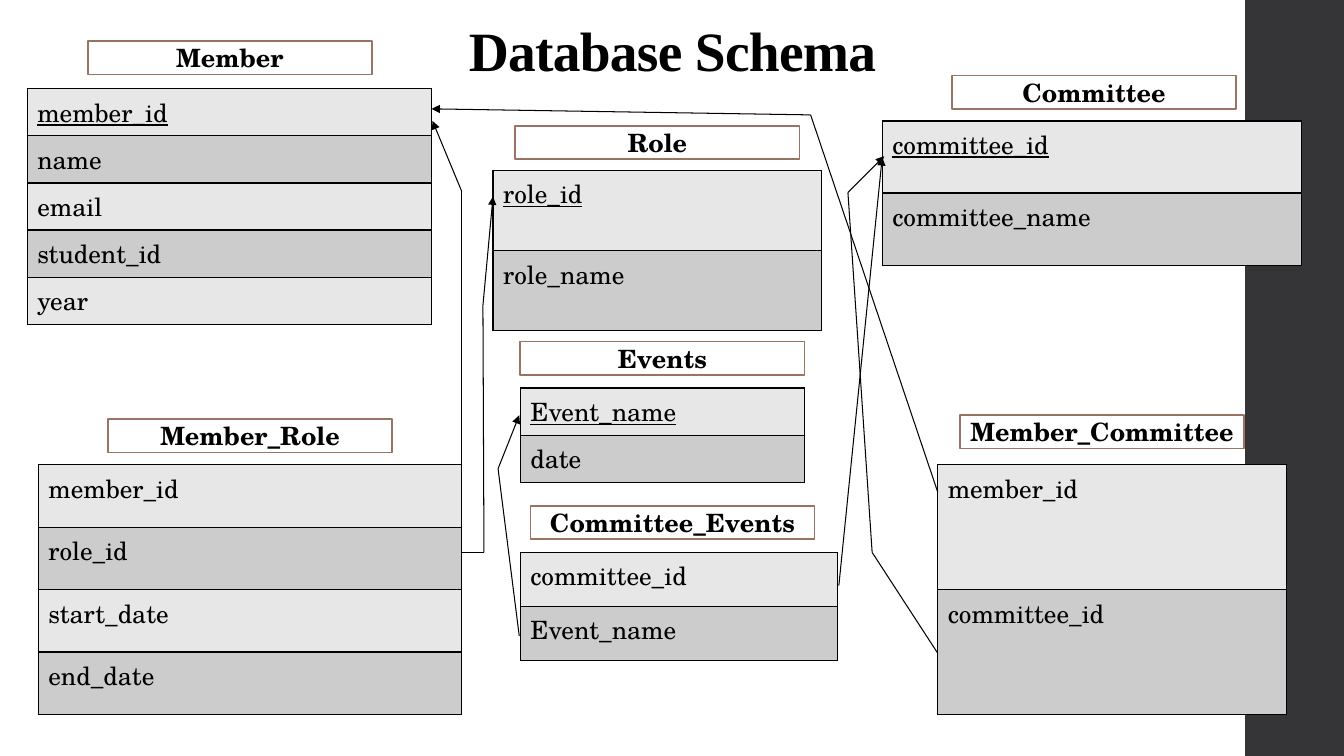
from dataclasses import dataclass
from itertools import pairwise

from lxml.etree import SubElement
from pptx import Presentation
from pptx.dml.color import RGBColor
from pptx.enum.shapes import MSO_CONNECTOR as CONNECTOR, MSO_SHAPE as SHAPE
from pptx.enum.text import MSO_ANCHOR as ANCHOR, PP_ALIGN as ALIGN
from pptx.oxml.ns import qn
from pptx.util import Pt

PX = 9144  # EMU per px, 100 px to the inch


@dataclass(frozen=True)
class Theme:
    ink: str = "000000"
    paper: str = "FFFFFF"
    sidebar: str = "353537"
    label_line: str = "9B7362"
    row_fills: tuple = ("E7E7E7", "CCCCCC")
    title_font: str = "Times New Roman"
    body_font: str = "TeX Gyre Schola"
    title_size: float = 39.6
    body_size: float = 18
    label_width: float = 1.1
    border_width: float = 1
    relation_width: float = 0.75


THEME = Theme()
LABEL_SIZE = (282, 33)

# name, label corner, table box, fields, whether the first field is a key
ENTITIES = [
    ("Member", (87, 41), (27, 88, 401, 233),
     ["member_id", "name", "email", "student_id", "year"], True),
    ("Role", (511, 125), (489, 169, 326, 159), ["role_id", "role_name"], True),
    ("Committee", (944, 75), (875, 120, 416, 143),
     ["committee_id", "committee_name"], True),
    ("Member_Role", (107, 416), (38, 461, 420, 248),
     ["member_id", "role_id", "start_date", "end_date"], False),
    ("Member_Committee", (952, 412), (930, 461, 346, 248),
     ["member_id", "committee_id"], False),
    ("Events", (516, 339), (516, 385, 282, 80), ["Event_name", "date"], True),
    ("Committee_Events", (526, 502), (516, 548, 315, 107),
     ["committee_id", "Event_name"], False),
]

# Each route runs from the foreign key to the key it refers to
RELATIONS = [
    [(458, 491), (458, 190), (429, 120)],
    [(458, 548), (480, 548), (479, 303), (489, 195)],
    [(930, 488), (804, 114), (428, 108)],
    [(930, 648), (865, 548), (841, 191), (877, 155)],
    [(832, 581), (875, 156)],
    [(515, 631), (494, 465), (515, 412)],
]


def px(*lengths):
    return [length * PX for length in lengths]


def rgb(value):
    return RGBColor.from_string(value)


def set_font(paragraph, name, size, bold=False, underline=False):
    font = paragraph.font
    font.name, font.size = name, Pt(size)
    font.bold, font.underline = bold, underline
    font.color.rgb = rgb(THEME.ink)


def add_box(slide, box, fill, line=None):
    rect = slide.shapes.add_shape(SHAPE.RECTANGLE, *px(*box))
    rect.shadow.inherit = False
    rect.fill.solid()
    rect.fill.fore_color.rgb = rgb(fill)
    if line:
        rect.line.color.rgb = rgb(line)
        rect.line.width = Pt(THEME.label_width)
    else:
        rect.line.fill.background()
    return rect


def add_title(slide, box, text):
    title = slide.shapes.title
    title.left, title.top, title.width, title.height = px(*box)
    frame = title.text_frame
    frame.text = text
    frame.word_wrap = True
    frame.vertical_anchor = ANCHOR.BOTTOM
    heading = frame.paragraphs[0]
    heading.alignment = ALIGN.CENTER
    heading.line_spacing = 0.9
    set_font(heading, THEME.title_font, THEME.title_size, bold=True)
    # Letter spacing, in hundredths of a point
    heading._p.get_or_add_pPr().get_or_add_defRPr().set("spc", "-50")


def add_label(slide, box, name):
    frame = add_box(slide, box, THEME.paper, THEME.label_line).text_frame
    frame.text = name
    frame.word_wrap = False
    frame.vertical_anchor = ANCHOR.MIDDLE
    frame.paragraphs[0].alignment = ALIGN.CENTER
    set_font(frame.paragraphs[0], THEME.body_font, THEME.body_size, bold=True)


def add_borders(cell):
    properties = cell._tc.get_or_add_tcPr()
    for side in ("lnL", "lnR", "lnT", "lnB"):
        border = SubElement(properties, qn(f"a:{side}"), w=str(Pt(THEME.border_width)))
        fill = SubElement(border, qn("a:solidFill"))
        SubElement(fill, qn("a:srgbClr"), val=THEME.ink)


def add_fields(slide, box, fields, has_key):
    table = slide.shapes.add_table(len(fields), 1, *px(*box)).table
    table.first_row = table.horz_banding = False
    for index, field in enumerate(fields):
        cell = table.cell(index, 0)
        cell.text = field
        set_font(cell.text_frame.paragraphs[0], THEME.body_font, THEME.body_size,
                 underline=has_key and index == 0)
        add_borders(cell)
        cell.fill.solid()
        cell.fill.fore_color.rgb = rgb(THEME.row_fills[index % 2])


def add_entity(slide, name, label_corner, table_box, fields, has_key):
    add_fields(slide, table_box, fields, has_key)
    add_label(slide, label_corner + LABEL_SIZE, name)


def add_relation(slide, route):
    for start, end in pairwise(route):
        segment = slide.shapes.add_connector(CONNECTOR.STRAIGHT, *px(*start, *end))
        segment.line.color.rgb = rgb(THEME.ink)
        segment.line.width = Pt(THEME.relation_width)
        SubElement(segment._element.spPr, qn("a:effectLst"))
    # Arrowhead on the last segment only
    SubElement(segment.line._get_or_add_ln(), qn("a:tailEnd"), type="triangle")


def build_schema_slide(deck):
    slide = deck.slides.add_slide(deck.slide_layouts[5])
    add_box(slide, (1235, 0, 100, 750), THEME.sidebar)
    add_title(slide, (446, 13, 442, 75), "Database Schema")
    for entity in ENTITIES:
        add_entity(slide, *entity)
    for route in RELATIONS:
        add_relation(slide, route)


def main():
    deck = Presentation()
    deck.slide_width, deck.slide_height = px(1333, 750)
    build_schema_slide(deck)
    deck.save("out.pptx")


if __name__ == "__main__":
    main()
